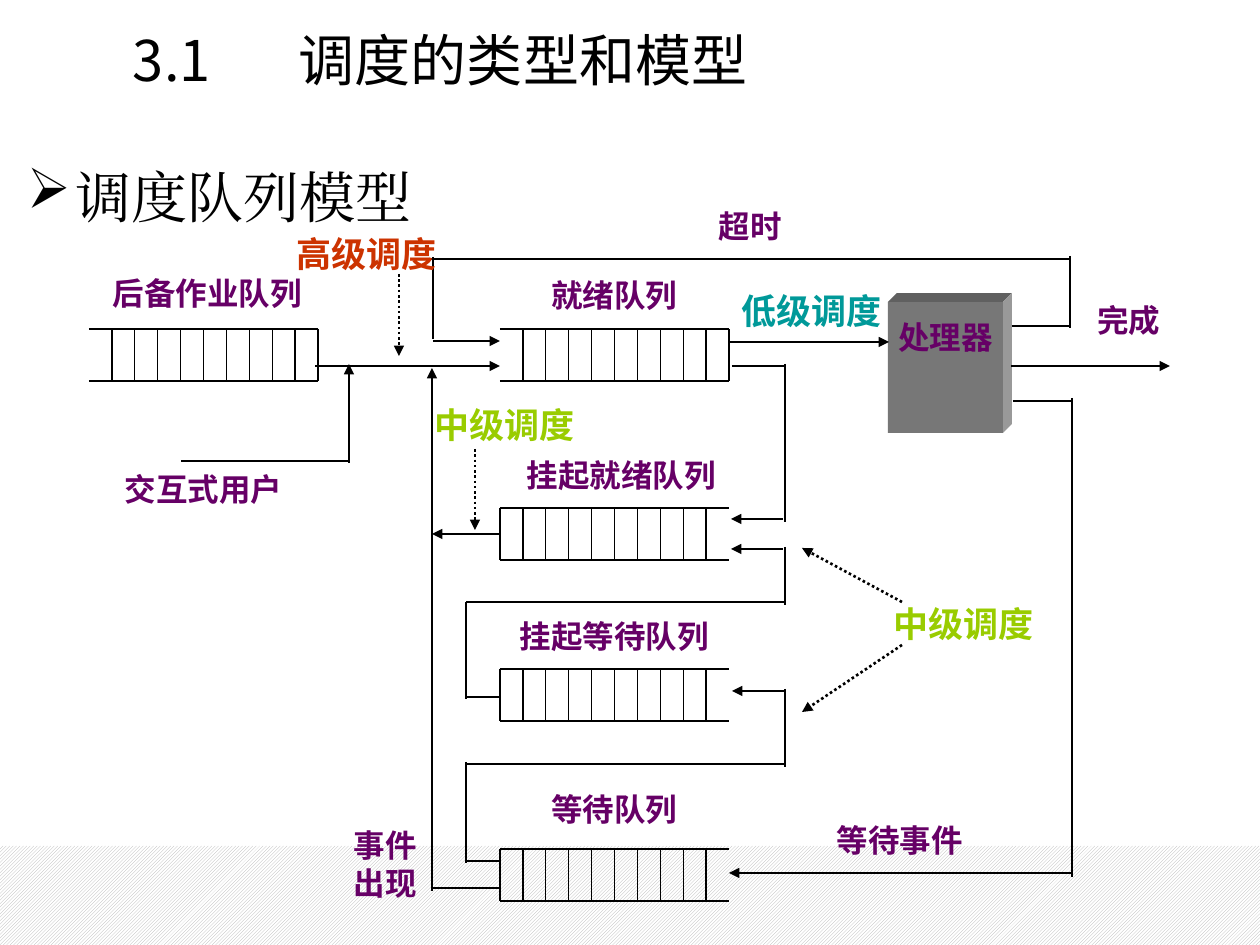
"""Build the slide on scheduling types and the scheduling queue model."""
from pptx import Presentation
from pptx.dml.color import RGBColor
from pptx.enum.dml import MSO_LINE, MSO_PATTERN
from pptx.enum.shapes import MSO_CONNECTOR, MSO_SHAPE
from pptx.enum.text import MSO_ANCHOR, PP_ALIGN
from pptx.oxml.ns import qn
from pptx.util import Emu, Pt
from lxml.etree import SubElement

PX = 914400 / 126
SANS, TITLE_FONT, SERIF = "Noto Sans CJK JP", "Noto Sans CJK SC", "Times New Roman"
BLACK = RGBColor(0x00, 0x00, 0x00)
WHITE = RGBColor(0xFF, 0xFF, 0xFF)
BAND = RGBColor(0xB2, 0xB2, 0xB2)
PURPLE = RGBColor(0x66, 0x00, 0x66)
RED = RGBColor(0xCC, 0x33, 0x00)
TEAL = RGBColor(0x00, 0x99, 0x99)
GREEN = RGBColor(0x99, 0xCC, 0x00)
FRONT = RGBColor(0x77, 0x77, 0x77)
TOP = RGBColor(0x60, 0x60, 0x60)
SIDE = RGBColor(0x99, 0x99, 0x99)

QUEUE_W, QUEUE_H, CELLS = 229, 52, 10
QUEUES = [(89, 329, True), (500, 329, True), (500, 508, False),
          (500, 669, False), (500, 849, False)]

LABELS = [
    ("中级调度", 417, 403, 175, 54, 20, GREEN),
    ("中级调度", 886, 602, 155, 54, 20, GREEN),
    ("低级调度", 735, 290, 153, 39, 20, TEAL),
    ("高级调度", 248, 232, 238, 59, 20, RED),
    ("完成", 1087, 301, 83, 65, 18, PURPLE),
    ("超时", 558, 207, 384, 53, 18, PURPLE),
    ("后备作业队列", 98, 274, 218, 55, 18, PURPLE),
    ("就绪队列", 500, 276, 229, 53, 18, PURPLE),
    ("挂起就绪队列", 507, 456, 229, 53, 18, PURPLE),
    ("挂起等待队列", 500, 617, 229, 53, 18, PURPLE),
    ("等待队列", 500, 790, 229, 53, 18, PURPLE),
    ("等待事件", 797, 821, 205, 52, 18, PURPLE),
    ("交互式用户", 114, 470, 179, 55, 18, PURPLE),
    ("事件\n出现", 340, 826, 91, 105, 18, PURPLE),
]

LINES = [
    (1013, 401, 1072, 401), (1072, 398, 1072, 877),
    (1012, 326, 1070, 326), (1070, 256, 1070, 328),
    (431, 259, 1070, 259), (433, 257, 433, 339),
    (500, 888, 432, 888), (500, 697, 466, 697), (500, 861, 466, 861),
    (349, 461, 181, 461), (732, 366, 784, 366), (785, 364, 785, 522),
    (785, 547, 785, 605), (785, 602, 466, 602), (466, 602, 466, 699),
    (785, 689, 785, 767), (785, 764, 466, 764), (466, 762, 466, 863),
]
ARROWS = [
    (729, 342, 889, 342), (315, 366, 500, 366), (1011, 366, 1170, 366),
    (433, 341, 500, 341), (783, 519, 731, 519), (783, 549, 731, 549),
    (785, 691, 732, 691), (1072, 873, 729, 873), (500, 534, 432, 534),
    (432, 891, 432, 368), (349, 463, 349, 364),
]
DOTTED_ARROWS = [
    (399, 274, 399, 356), (475, 449, 475, 530),
    (902, 602, 802, 548), (902, 645, 802, 712),
]


def px(n):
    """Turn pixels into EMU."""
    return Emu(round(n * PX))


def place(s, x, y, w, h):
    """Set the position and size of a shape."""
    s.left, s.top, s.width, s.height = px(x), px(y), px(w), px(h)


def style_text(tf, size, font, color, bold=False, align=PP_ALIGN.CENTER):
    """Format every run of a text frame."""
    for p in tf.paragraphs:
        p.alignment = align
        for r in p.runs:
            r.font.size, r.font.name, r.font.bold = Pt(size), font, bold
            r.font.color.rgb = color
            SubElement(r.font._element, qn("a:ea")).set("typeface", font)


def set_frame(tf, left=0, top=0, right=0, bottom=0):
    """Wrap the text from the top with the given insets."""
    tf.word_wrap, tf.vertical_anchor = True, MSO_ANCHOR.TOP
    tf.margin_left, tf.margin_top = px(left), px(top)
    tf.margin_right, tf.margin_bottom = px(right), px(bottom)


def set_indent(p, margin, first):
    """Give a paragraph a hanging indent and return its properties."""
    pPr = p._p.get_or_add_pPr()
    pPr.set("marL", str(px(margin)))
    pPr.set("indent", str(px(first)))
    return pPr


def add_title(slide):
    """Fill the title placeholder."""
    s = slide.shapes.title
    place(s, 0, 20, 885, 156)
    tf = s.text_frame
    tf.text = "3.1\t调度的类型和模型"
    set_frame(tf, 13, 6, 13, 6)
    style_text(tf, 32, TITLE_FONT, BLACK, align=PP_ALIGN.LEFT)
    set_indent(tf.paragraphs[0], 286, -166)


def add_heading(slide):
    """Add the bulleted heading."""
    s = slide.shapes.add_textbox(px(0), px(156), px(1102), px(688))
    tf = s.text_frame
    tf.text = "调度队列模型"
    set_frame(tf, 27, 6, 13, 6)
    style_text(tf, 32, SERIF, BLACK, align=PP_ALIGN.LEFT)
    pPr = set_indent(tf.paragraphs[0], 48, -48)
    SubElement(pPr, qn("a:buChar")).set("char", "➢")


def add_label(slide, text, x, y, w, h, size, color):
    """Add a bold centred label."""
    tf = slide.shapes.add_textbox(px(x), px(y), px(w), px(h)).text_frame
    tf.text = text
    set_frame(tf)
    style_text(tf, size, SANS, color, bold=True)


def add_line(slide, x1, y1, x2, y2, width=1.5, arrow=False, dotted=False):
    """Add a straight line, with an arrowhead at its end if asked."""
    s = slide.shapes.add_connector(MSO_CONNECTOR.STRAIGHT, px(x1), px(y1), px(x2), px(y2))
    s.line.color.rgb, s.line.width = BLACK, Pt(width)
    if dotted:
        s.line.dash_style = MSO_LINE.ROUND_DOT
    if arrow:
        SubElement(s.line._get_or_add_ln(), qn("a:tailEnd")).set("type", "triangle")
    SubElement(s._element.spPr, qn("a:effectLst"))


def add_queue(slide, x, y, closed_right):
    """Add a queue of cells that is closed at one end."""
    right, bottom = x + QUEUE_W, y + QUEUE_H
    end = right if closed_right else x
    for edge in (y, bottom):
        add_line(slide, x, edge, right, edge)
    add_line(slide, end, y, end, bottom)
    for i in range(1, CELLS):
        cell = x + QUEUE_W * i / CELLS
        add_line(slide, cell, y, cell, bottom, 0.75)


def fill_plain(s, color):
    """Give a shape a flat fill without line or shadow."""
    s.shadow.inherit = False
    s.fill.solid()
    s.fill.fore_color.rgb = color
    s.line.fill.background()


def add_processor(slide, x, y, w, h, depth):
    """Add the processor as a front face with a top and a side face."""
    right, bottom = x + w, y + h
    faces = [
        (TOP, [(x, y), (x + depth, y - depth), (right + depth, y - depth), (right, y)]),
        (SIDE, [(right, y), (right + depth, y - depth),
                (right + depth, bottom - depth), (right, bottom)]),
    ]
    for color, points in faces:
        builder = slide.shapes.build_freeform(*points[0], scale=PX)
        builder.add_line_segments(points[1:])
        fill_plain(builder.convert_to_shape(), color)
    s = slide.shapes.add_shape(MSO_SHAPE.RECTANGLE, px(x), px(y), px(w), px(h))
    fill_plain(s, FRONT)
    s.text_frame.text = "处理器"
    set_frame(s.text_frame, top=16, bottom=6)
    style_text(s.text_frame, 18, SANS, PURPLE, bold=True)


def add_band(slide):
    """Add the hatched band at the foot of the slide."""
    s = slide.shapes.add_shape(MSO_SHAPE.RECTANGLE, px(0), px(846), px(1260), px(99))
    fill_plain(s, WHITE)
    s.fill.patterned()
    s.fill.pattern = MSO_PATTERN.DARK_UPWARD_DIAGONAL
    s.fill.fore_color.rgb, s.fill.back_color.rgb = BAND, WHITE


def main():
    """Build and save the slide."""
    prs = Presentation()
    prs.slide_width, prs.slide_height = px(1260), px(945)
    slide = prs.slides.add_slide(prs.slide_layouts[5])
    add_band(slide)
    add_title(slide)
    add_heading(slide)
    for queue in QUEUES:
        add_queue(slide, *queue)
    add_processor(slide, 888, 302, 115, 131, 9)
    for line in LINES:
        add_line(slide, *line)
    for line in ARROWS:
        add_line(slide, *line, arrow=True)
    for line in DOTTED_ARROWS:
        add_line(slide, *line, arrow=True, dotted=True)
    for label in LABELS:
        add_label(slide, *label)
    prs.save("out.pptx")


if __name__ == "__main__":
    main()
